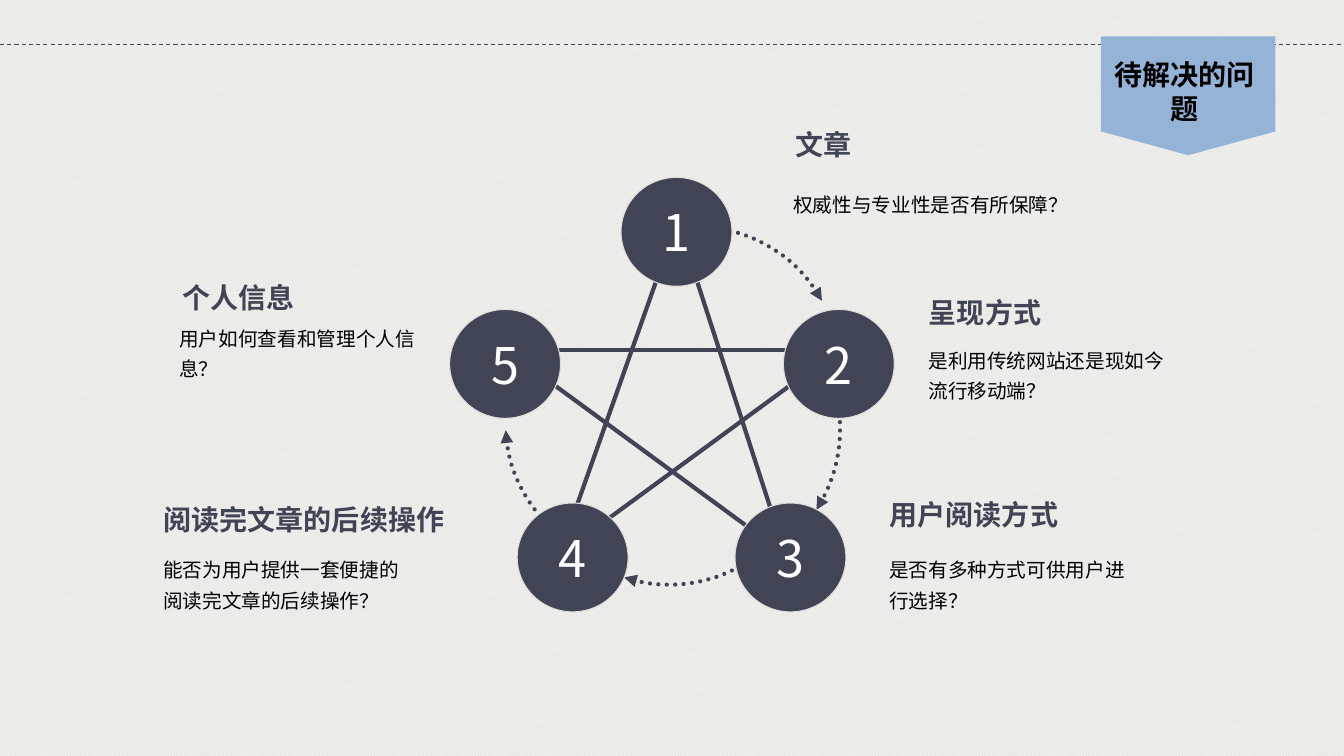
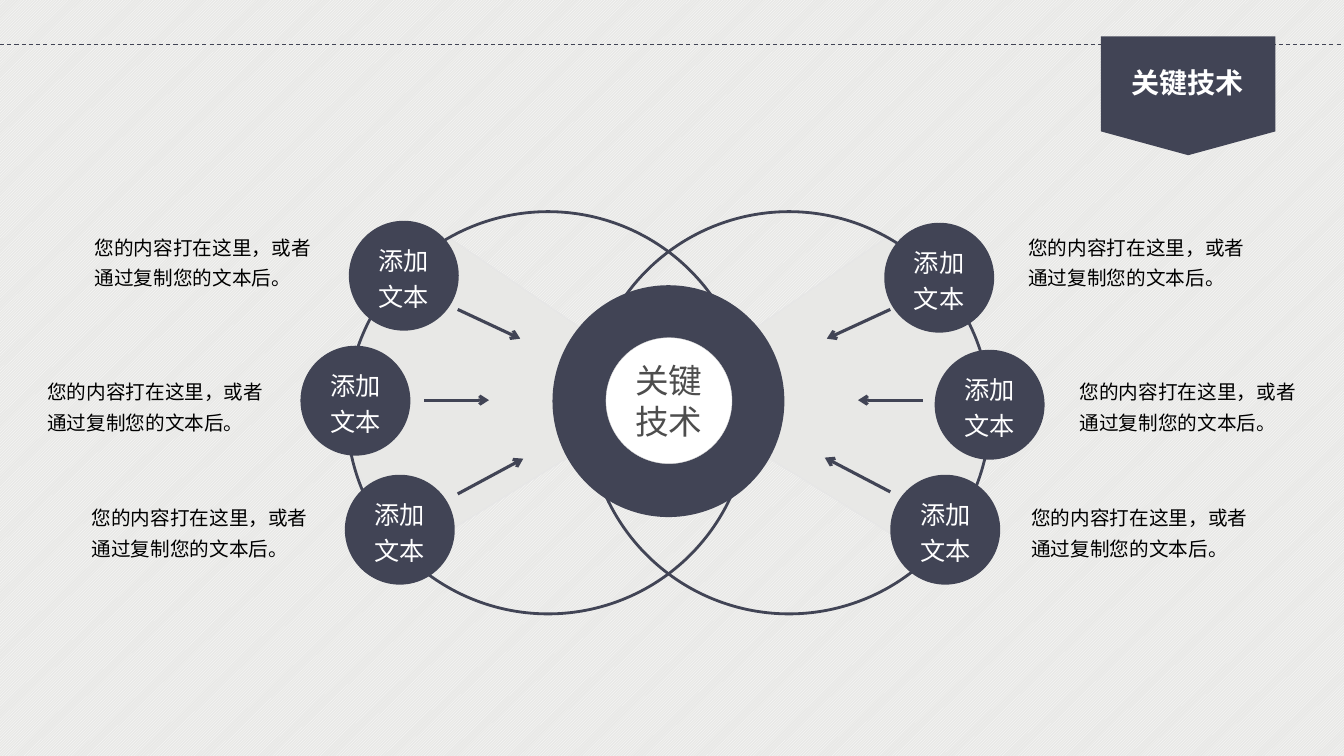
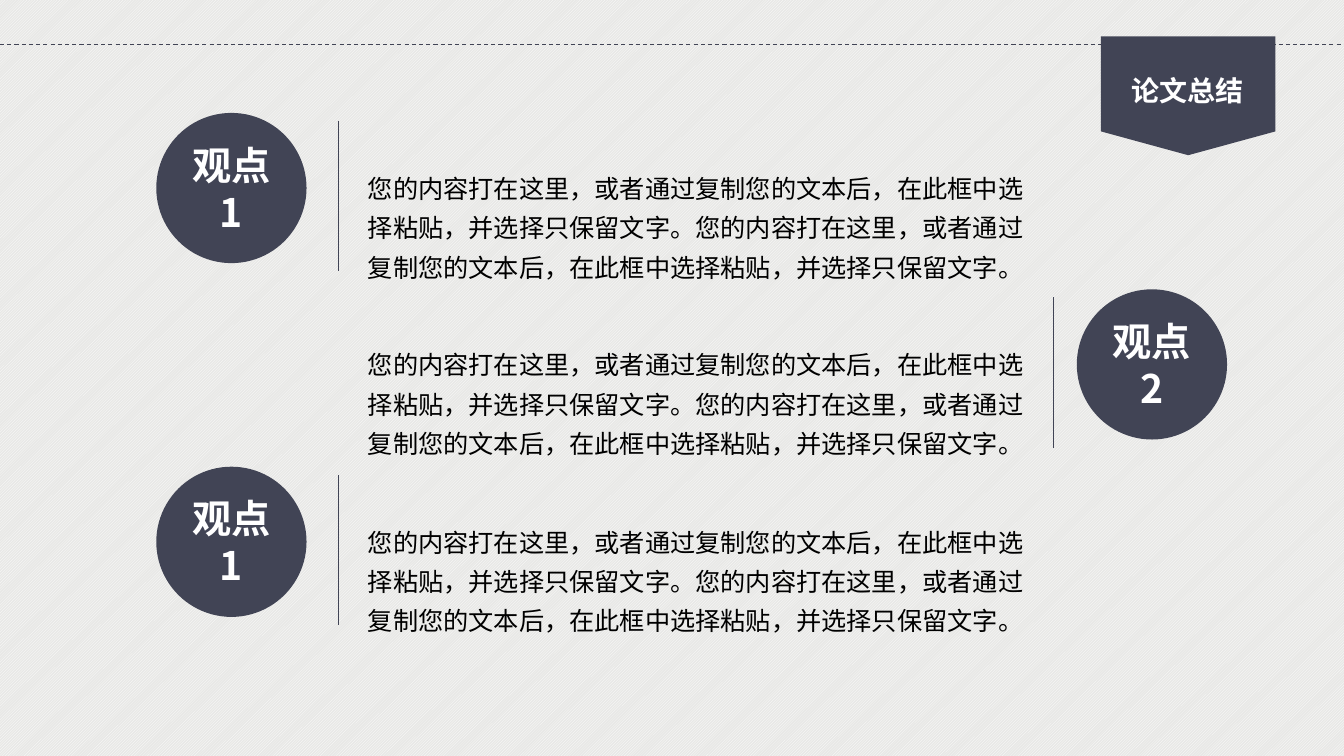
"""Builds three slides on open questions, key technology and conclusions."""
import math

from lxml import etree
from pptx import Presentation
from pptx import util as u
from pptx.dml.color import RGBColor
from pptx.enum import dml, shapes, text
from pptx.oxml.ns import qn

SCALE = 9144
WIDTH, HEIGHT = 1333, 750
NAVY, BLUE, BLACK, WHITE, PAPER = "414455", "95B3D7", "000000", "FFFFFF", "E8E8E6"
SANS = "Noto Sans CJK SC"
BODY = {"size": 14, "ink": BLACK, "spacing": 1.3}
HEADING = {"size": 20, "ink": NAVY, "bold": True, "align": "CENTER", "wrap": False}
KIND = shapes.MSO_SHAPE


def px(*lengths):
    return [u.Emu(round(length * SCALE)) for length in lengths]


def color(code):
    return RGBColor.from_string(code)


class Slides:
    def __init__(self):
        self.deck = Presentation()
        self.deck.slide_width, self.deck.slide_height = px(WIDTH, HEIGHT)
        fill = self.deck.slide_master.background.fill
        fill.patterned()
        fill.pattern = dml.MSO_PATTERN.LIGHT_UPWARD_DIAGONAL
        fill.fore_color.rgb = color(WHITE)
        fill.back_color.rgb = color(PAPER)

    def start(self, title, place, ribbon=NAVY, ink=WHITE, wrap=False):
        self.page = self.deck.slides.add_slide(self.deck.slide_layouts[5])
        self.line((0, 44), (WIDTH, 44), 0.75, dash="DASH")
        badge = self.shape(KIND.FLOWCHART_OFFPAGE_CONNECTOR, (1092, 36, 173, 118), ribbon)
        box = self.page.shapes.title
        box.left, box.top, box.width, box.height = px(*place)
        self.fill_text(box, title, **{**HEADING, "ink": ink, "wrap": wrap})
        box.text_frame.vertical_anchor = text.MSO_ANCHOR.TOP
        box.text_frame.auto_size = text.MSO_AUTO_SIZE.SHAPE_TO_FIT_TEXT
        badge._element.addnext(box._element)

    def fill_text(self, box, words, size, ink, align=None, spacing=None,
                  wrap=True, font=SANS, bold=False):
        frame = box.text_frame
        frame.word_wrap = wrap
        para = frame.paragraphs[0]
        if align:
            para.alignment = getattr(text.PP_ALIGN, align)
        if spacing:
            para.line_spacing = spacing
        span = para.add_run()
        span.text = words
        for name, value in {"size": u.Pt(size), "name": font, "bold": bold}.items():
            setattr(span.font, name, value)
        span.font.color.rgb = color(ink)
        etree.SubElement(span.font._element, qn("a:ea"), typeface=font)

    def text(self, words, place, style):
        box = self.page.shapes.add_textbox(*px(*place))
        self.fill_text(box, words, **style)
        box.text_frame.auto_size = text.MSO_AUTO_SIZE.SHAPE_TO_FIT_TEXT

    def paint(self, shape, fill, outline):
        shape.shadow.inherit = False
        if fill:
            shape.fill.solid()
            shape.fill.fore_color.rgb = color(fill)
        else:
            shape.fill.background()
        if outline:
            self.stroke(shape, *outline)
        else:
            shape.line.fill.background()
        return shape

    def stroke(self, shape, code, width, dash=None, head=None):
        shape.line.color.rgb = color(code)
        shape.line.width = u.Pt(width)
        if dash:
            shape.line.dash_style = getattr(dml.MSO_LINE, dash)
        outline = shape._element.spPr.find(qn("a:ln"))
        if dash == "ROUND_DOT":
            outline.set("cap", "rnd")
        if head:
            etree.SubElement(outline, qn("a:tailEnd"), type=head)

    def shape(self, kind, place, fill=None, outline=None):
        return self.paint(self.page.shapes.add_shape(kind, *px(*place)), fill, outline)

    def circle(self, place, words=None, fill=NAVY, outline=None, **style):
        disc = self.shape(KIND.OVAL, place, fill, outline)
        if words:
            self.fill_text(disc, words, **{"ink": WHITE, "align": "CENTER", **style})

    def line(self, start, end, width, dash=None, head=None):
        rule = self.page.shapes.add_connector(
            shapes.MSO_CONNECTOR.STRAIGHT, *px(*start, *end))
        self.stroke(rule, NAVY, width, dash, head)
        etree.SubElement(rule._element.spPr, qn("a:effectLst"))

    def arc(self, center, start, end):
        (x, y), radius = center, math.dist(center, start)
        curve = self.shape(KIND.ARC, (x - radius, y - radius, 2 * radius, 2 * radius),
                           outline=(NAVY, 3, "ROUND_DOT", "triangle"))
        for index, point in enumerate((start, end)):
            angle = math.degrees(math.atan2(point[1] - y, point[0] - x)) % 360
            curve.adjustments[index] = angle * 0.6

    def polygon(self, points, fill, outline):
        builder = self.page.shapes.build_freeform(*points[0], scale=SCALE)
        builder.add_line_segments(points[1:], close=True)
        self.paint(builder.convert_to_shape(), fill, outline)


def questions(slides):
    slides.start("待解决的问题", (1084, 52, 181, 77), BLUE, BLACK, wrap=True)
    for center, start, end in (
        ((664, 436), (726, 566), (619, 573)),
        ((682, 425), (830, 394), (810, 506)),
        ((645, 419), (547, 524), (501, 427)),
        ((690, 368), (732, 231), (816, 298)),
    ):
        slides.arc(center, start, end)
    top, right, low_right, low_left, left = (
        (672, 219), (832, 347), (779, 550), (555, 550), (502, 347))
    for start, end in ((top, low_left), (top, low_right), (right, low_left),
                       (left, low_right), (left, right)):
        slides.line(start, end, 3)
    spots = (616, 176), (777, 307), (729, 499), (513, 499), (446, 307)
    for number, spot in enumerate(spots, 1):
        slides.circle((*spot, 110, 108), str(number), outline=("DDDDDD", 0.75),
                      size=36, wrap=False)
    for heading, place, words, spot in (
        ("文章", (779, 122, 76, 44),
         "权威性与专业性是否有所保障？", (777, 179, 283, 41)),
        ("呈现方式", (911, 288, 132, 44),
         "是利用传统网站还是现如今流行移动端？", (911, 334, 268, 71)),
        ("用户阅读方式", (872, 489, 188, 44),
         "是否有多种方式可供用户进行选择？", (872, 542, 268, 71)),
        ("阅读完文章的后续操作", (151, 494, 301, 44),
         "能否为用户提供一套便捷的阅读完文章的后续操作？", (152, 542, 268, 71)),
        ("个人信息", (171, 273, 132, 44),
         "用户如何查看和管理个人信息？", (168, 312, 268, 71)),
    ):
        slides.text(words, spot, BODY)
        slides.text(heading, place, HEADING)


def technology(slides):
    slides.start("关键技术", (1112, 60, 132, 44))
    wedge = [(372, 308), (403, 268), (446, 236), (668, 389), (405, 552),
             (352, 465), (344, 406), (352, 356)]
    for points in ([(1325 - x, y) for x, y in wedge], wedge):
        slides.polygon(points, PAPER, ("E6E6E6", 0.75))
    for left in (344, 583):
        slides.circle((left, 210, 399, 399), fill=None, outline=(NAVY, 2))
    for start, end in (
        ((454, 307), (516, 336)), ((421, 397), (485, 397)), ((454, 490), (519, 455)),
        ((883, 488), (818, 454)), ((915, 397), (851, 397)), ((883, 307), (820, 336)),
    ):
        slides.line(start, end, 2.25, head="arrow")
    slides.circle((548, 283, 230, 230))
    slides.circle((601, 335, 125, 125), "关键技术", WHITE, ("D7D7D7", 0.25),
                  size=24, font="Roboto Condensed", ink="4D4D4D")
    for disc, note in (
        ((346, 219), (84, 222)), ((298, 343), (37, 365)), ((342, 471), (81, 490)),
        ((877, 221), (1010, 222)), ((927, 347), (1061, 365)), ((883, 471), (1013, 490)),
    ):
        slides.circle((*disc, 109, 109), "添加文本", size=18, font="Arial", spacing=1.2)
        slides.text("您的内容打在这里，或者通过复制您的文本后。", (*note, 235, 71), BODY)


def conclusions(slides):
    slides.start("论文总结", (1112, 68, 132, 44))
    words = "您的内容打在这里，或者通过复制您的文本后，在此框中选择粘贴，并选择只保留文字。" * 2
    for row, (label, disc, rule) in enumerate((
        ("观点1", 155, 336), ("观点2", 1068, 1045), ("观点1", 155, 336),
    )):
        top = 112 + row * 351 // 2
        slides.circle((disc, top, 149, 149), label, size=28, bold=True)
        slides.text(words, (355, top + 46, 689, 128), {**BODY, "size": 18})
        slides.line((rule, top + 8), (rule, top + 157), 0.75)


def main():
    slides = Slides()
    questions(slides)
    technology(slides)
    conclusions(slides)
    slides.deck.save("out.pptx")


if __name__ == "__main__":
    main()
